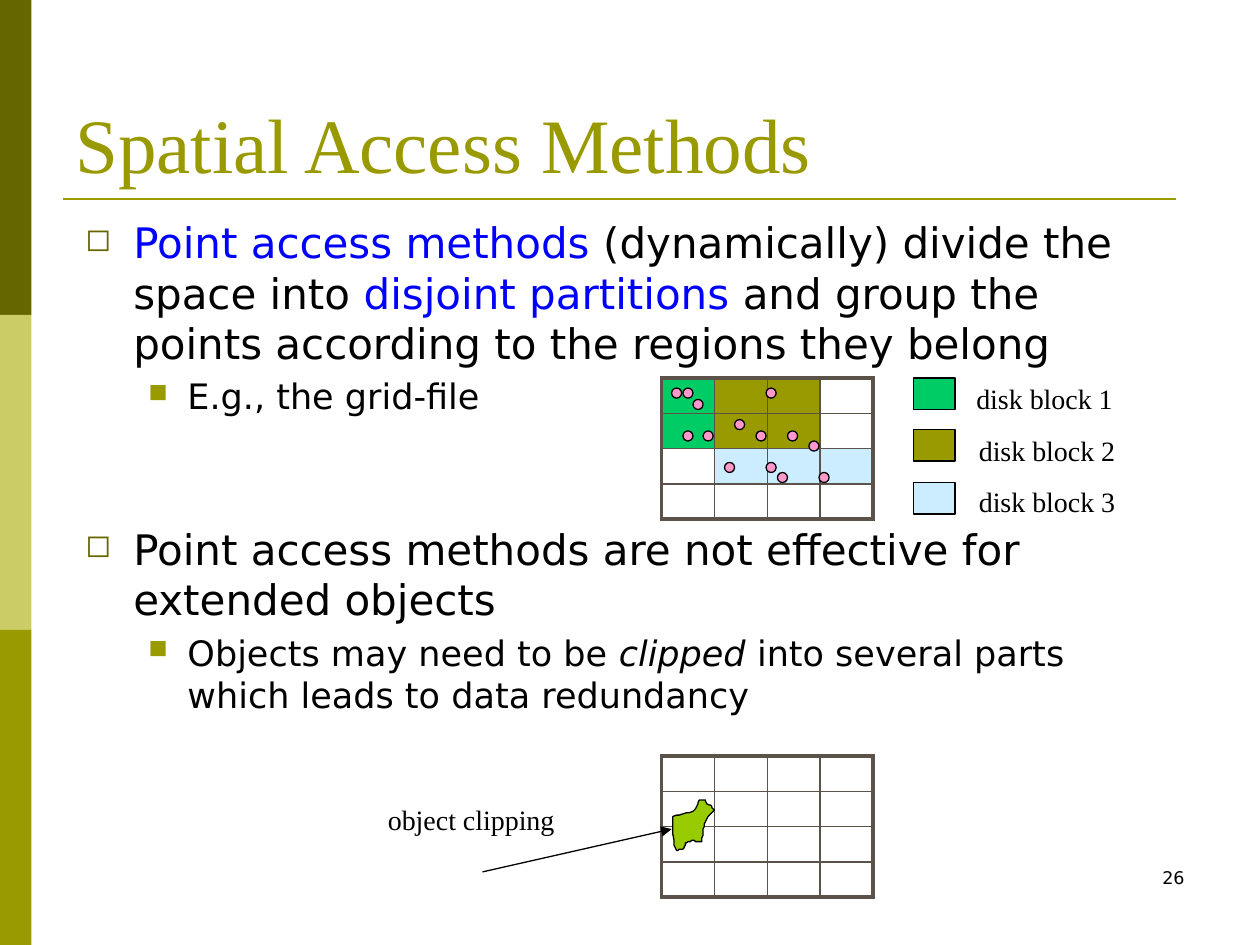
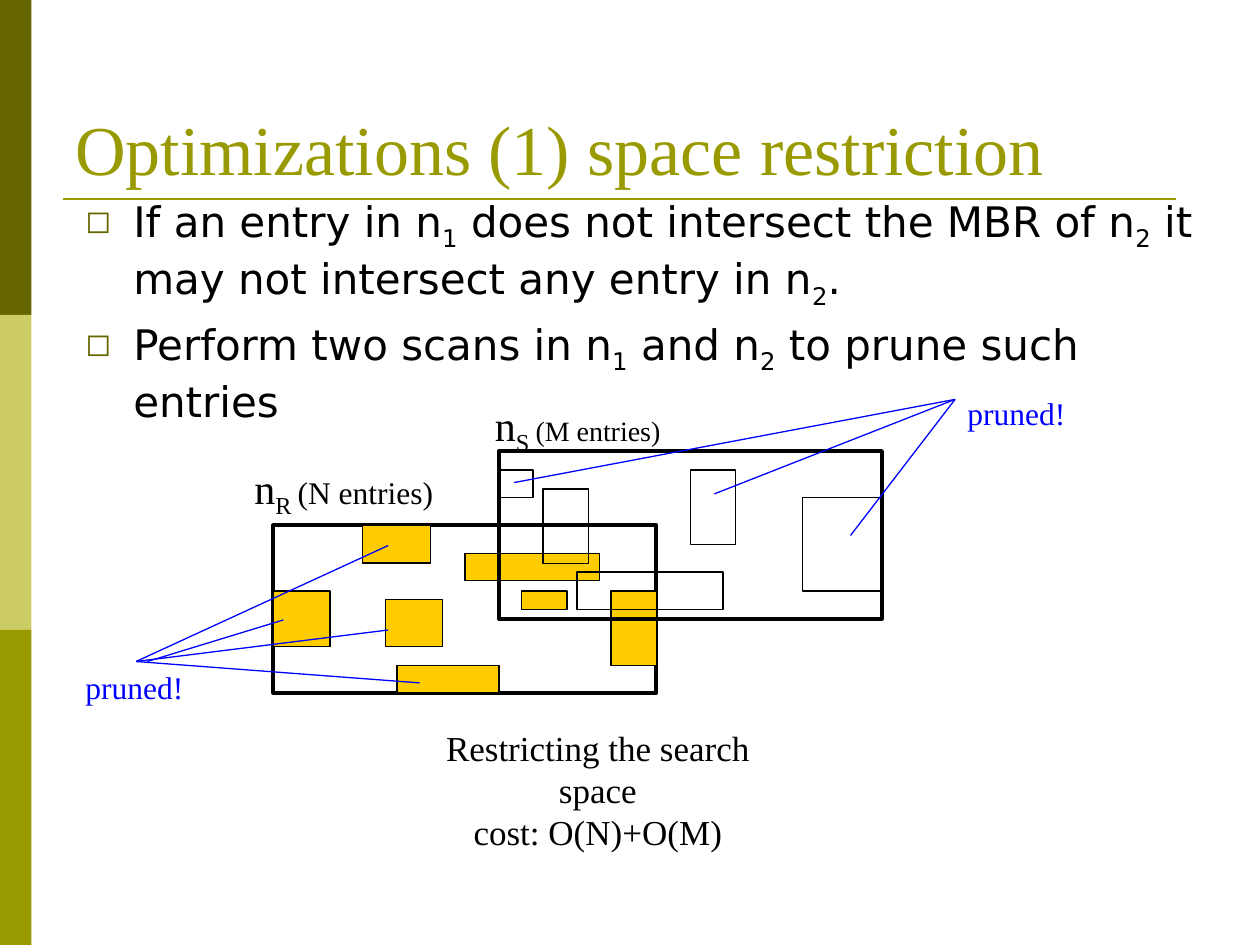
"""Build two slides on spatial access methods and search space restriction."""
from dataclasses import dataclass
from typing import Optional

from lxml.etree import SubElement
from pptx import Presentation
from pptx.dml.color import RGBColor
from pptx.enum.shapes import MSO_CONNECTOR, MSO_SHAPE
from pptx.enum.text import MSO_ANCHOR, PP_ALIGN
from pptx.oxml.ns import qn
from pptx.util import Emu, Pt

PX = 9144
SERIF, SANS = "Times New Roman", "DejaVu Sans"
BLACK = RGBColor(0x00, 0x00, 0x00)
BLUE = RGBColor(0x00, 0x00, 0xFF)
DARK_OLIVE = RGBColor(0x66, 0x66, 0x00)
PALE_OLIVE = RGBColor(0xCC, 0xCC, 0x66)
OLIVE = RGBColor(0x99, 0x99, 0x00)
GREEN = RGBColor(0x00, 0xCC, 0x66)
SKY = RGBColor(0xCC, 0xEC, 0xFF)
PINK = RGBColor(0xFF, 0x99, 0xCC)
LIME = RGBColor(0x99, 0xCC, 0x00)
GOLD = RGBColor(0xFF, 0xCC, 0x00)
GRID = RGBColor(0x5B, 0x52, 0x49)


@dataclass(frozen=True)
class Box:
    x: int
    y: int
    w: int
    h: int

    def emu(self) -> tuple:
        return tuple(Emu(v * PX) for v in (self.x, self.y, self.w, self.h))


@dataclass(frozen=True)
class Bullet:
    char: str
    color: RGBColor
    left: int
    hang: int


@dataclass(frozen=True)
class Run:
    text: str
    color: Optional[RGBColor] = None
    size: Optional[int] = None
    italic: bool = False
    sub: bool = False


@dataclass(frozen=True)
class Para:
    runs: tuple
    size: Optional[int]
    font: str = SERIF
    color: RGBColor = BLACK
    align: PP_ALIGN = PP_ALIGN.LEFT
    bullet: Optional[Bullet] = None
    before: float = 0


TOP = Bullet("◻", DARK_OLIVE, 38, 38)
SUB = Bullet("■", OLIVE, 81, 31)

BANDS = (DARK_OLIVE, PALE_OLIVE, OLIVE)
BLOCKS = (GREEN, OLIVE, SKY)
BLOCK_CELLS = (
    (GREEN, OLIVE, OLIVE, None),
    (GREEN, OLIVE, OLIVE, None),
    (None, SKY, SKY, SKY),
    (None,) * 4,
)
EMPTY_CELLS = ((None,) * 4,) * 4
POINTS = (
    (550, 317), (608, 367), (608, 308), (533, 308), (542, 342), (542, 308), (575, 367),
    (583, 333), (600, 342), (650, 375), (558, 342), (617, 375), (625, 342), (642, 350),
)
OBJECT_START = (555, 635)
OBJECT_CURVES = (
    (554, 638, 552, 643, 550, 644), (545, 646, 539, 646, 534, 648),
    (535, 655, 533, 669, 537, 675), (539, 674, 541, 675, 543, 673),
    (544, 672, 543, 670, 544, 669), (546, 668, 548, 668, 550, 667),
    (552, 668, 555, 669, 557, 668), (557, 668, 557, 666, 557, 666),
    (558, 665, 558, 656, 559, 654), (560, 650, 564, 646, 567, 643),
    (563, 638, 565, 640, 561, 638), (559, 633, 561, 635, 555, 635),
)
NODE_R, NODE_S = Box(217, 417, 304, 133), Box(396, 358, 304, 133)
R_ENTRIES = (
    Box(288, 417, 54, 30), Box(217, 469, 45, 44), Box(306, 476, 45, 37), Box(315, 528, 81, 22),
    Box(369, 439, 107, 22), Box(414, 469, 36, 15), Box(485, 469, 36, 59),
)
S_ENTRIES = (
    Box(458, 454, 116, 30), Box(431, 388, 36, 59), Box(396, 373, 27, 22),
    Box(548, 373, 36, 59), Box(637, 395, 63, 74),
)
PRUNE_LINES = (
    (117, 525, 225, 492), (108, 525, 308, 433), (108, 525, 308, 500), (108, 525, 333, 542),
    (758, 317, 408, 383), (758, 317, 567, 392), (758, 317, 675, 425),
)


def style(sp, fill: Optional[RGBColor], line: Optional[RGBColor], width: float = 0.75) -> None:
    """Give a shape its fill and outline without a shadow."""
    sp.shadow.inherit = False
    if fill is None:
        sp.fill.background()
    else:
        sp.fill.solid()
        sp.fill.fore_color.rgb = fill
    if line is None:
        sp.line.fill.background()
    else:
        sp.line.color.rgb = line
        sp.line.width = Pt(width)


def add_shape(shapes, box: Box, fill: Optional[RGBColor], line: Optional[RGBColor] = BLACK,
              width: float = 0.75, kind: MSO_SHAPE = MSO_SHAPE.RECTANGLE) -> None:
    """Draw one preset shape."""
    style(shapes.add_shape(kind, *box.emu()), fill, line, width)


def add_line(s, ends: tuple, color: RGBColor, width: float = 0.75, arrow: bool = False) -> None:
    """Draw a straight line, optionally with an arrowhead at its end."""
    c = s.shapes.add_connector(MSO_CONNECTOR.STRAIGHT, *(Emu(v * PX) for v in ends))
    c.line.color.rgb = color
    c.line.width = Pt(width)
    props = c._element.spPr
    if arrow:
        SubElement(props.find(qn("a:ln")), qn("a:tailEnd"), type="triangle")
    SubElement(props, qn("a:effectLst"))


def set_bullet(p, bullet: Bullet) -> None:
    """Set the hanging indent and bullet of a paragraph."""
    props = p._p.get_or_add_pPr()
    props.set("marL", str(bullet.left * PX))
    props.set("indent", str(-bullet.hang * PX))
    SubElement(SubElement(props, qn("a:buClr")), qn("a:srgbClr"), val=str(bullet.color))
    SubElement(props, qn("a:buSzPct"), val="75000")
    SubElement(props, qn("a:buChar"), char=bullet.char)


def add_text(s, box: Box, *paras: Para, wrap: bool = True,
             anchor: MSO_ANCHOR = MSO_ANCHOR.TOP) -> None:
    """Write paragraphs in a text box."""
    tf = s.shapes.add_textbox(*box.emu()).text_frame
    tf.word_wrap = wrap
    tf.vertical_anchor = anchor
    for i, para in enumerate(paras):
        p = tf.add_paragraph() if i else tf.paragraphs[0]
        if para.bullet:
            set_bullet(p, para.bullet)
        p.alignment = para.align
        if para.before:
            p.space_before = Pt(para.before)
        p.font.name = para.font
        p.font.color.rgb = para.color
        if para.size:
            p.font.size = Pt(para.size)
        for run in para.runs:
            r = p.add_run()
            r.text = run.text
            if run.color is not None:
                r.font.color.rgb = run.color
            if run.size:
                r.font.size = Pt(run.size)
            if run.italic:
                r.font.italic = True
            if run.sub:
                r.font._element.set("baseline", "-25000")


def add_label(s, box: Box, text: str, size: int = 16, color: RGBColor = BLACK) -> None:
    """Write a one-line label."""
    add_text(s, box, Para((Run(text),), size, color=color), wrap=False)


def add_grid(s, x: int, y: int, fills: tuple) -> None:
    """Draw a grid table with a heavier outer border."""
    n_rows, n_cols = len(fills), len(fills[0])
    box = Box(x, y, 42 * n_cols, 28 * n_rows)
    table = s.shapes.add_table(n_rows, n_cols, *box.emu()).table
    table.first_row = table.horz_banding = False
    for i, row in enumerate(fills):
        for j, fill in enumerate(row):
            cell = table.cell(i, j)
            cell.margin_left = cell.margin_right = cell.margin_top = cell.margin_bottom = 0
            SubElement(cell.text_frame.paragraphs[0]._p, qn("a:endParaRPr"), sz="800")
            outer = {"L": j == 0, "R": j == n_cols - 1, "T": i == 0, "B": i == n_rows - 1}
            for side, heavy in outer.items():
                ln = SubElement(cell._tc.get_or_add_tcPr(), qn(f"a:ln{side}"),
                                w=str(Pt(2.25 if heavy else 1)))
                SubElement(SubElement(ln, qn("a:solidFill")), qn("a:srgbClr"), val=str(GRID))
            if fill is None:
                cell.fill.background()
            else:
                cell.fill.solid()
                cell.fill.fore_color.rgb = fill


def curve_points(start: tuple, curves: tuple, steps: int = 6) -> list:
    """Return points along a chain of cubic curves."""
    points, (x0, y0) = [], start
    for x1, y1, x2, y2, x3, y3 in curves:
        for k in range(1, steps + 1):
            t = k / steps
            u = 1 - t
            a, b, c, d = u ** 3, 3 * u * u * t, 3 * u * t * t, t ** 3
            points.append((a * x0 + b * x1 + c * x2 + d * x3, a * y0 + b * y1 + c * y2 + d * y3))
        x0, y0 = x3, y3
    return points


def add_slide(prs, title: str, size: int):
    """Add a slide with the side bands, title and rule."""
    s = prs.slides.add_slide(prs.slide_layouts[6])
    for i, color in enumerate(BANDS):
        add_shape(s.shapes, Box(0, 250 * i, 25, 250), color, None)
    add_line(s, (50, 158, 933, 158), OLIVE, 1.5)
    add_text(s, Box(50, 30, 900, 125), Para((Run(title),), size, color=OLIVE),
             anchor=MSO_ANCHOR.BOTTOM)
    return s


def access_methods(prs) -> None:
    """Build the slide on point access methods."""
    s = add_slide(prs, "Spatial Access Methods", 44)
    add_text(
        s, Box(58, 167, 883, 415),
        Para((Run("Point access methods", BLUE), Run(" (dynamically) divide the space into "),
              Run("disjoint partitions", BLUE),
              Run(" and group the points according to the regions they belong")),
             24, SANS, bullet=TOP),
        Para((Run("E.g., the grid-file"),), 20, SANS, bullet=SUB, before=4),
        Para((Run("Point access methods are not effective for extended objects"),),
             24, SANS, bullet=TOP, before=60.8),
        Para((Run("Objects may need to be "), Run("clipped", italic=True),
              Run(" into several parts which leads to data redundancy")),
             20, SANS, bullet=SUB, before=4))
    add_grid(s, 525, 300, BLOCK_CELLS)
    for x, y in POINTS:
        add_shape(s.shapes, Box(x, y, 8, 8), PINK, kind=MSO_SHAPE.OVAL)
    for i, color in enumerate(BLOCKS):
        add_shape(s.shapes, Box(725, 300 + 125 * i // 3, 33, 25), color)
        add_label(s, Box(767 if i else 765, 298 + 41 * i, 129, 37), f"disk block {i + 1}")
    add_grid(s, 525, 600, EMPTY_CELLS)
    outline = s.shapes.build_freeform(*OBJECT_START, scale=float(PX))
    outline.add_line_segments(curve_points(OBJECT_START, OBJECT_CURVES))
    style(outline.convert_to_shape(), LIME, BLACK)
    add_line(s, (383, 692, 533, 658), BLACK, arrow=True)
    add_label(s, Box(298, 632, 153, 37), "object clipping")
    add_text(s, Box(717, 683, 233, 50), Para((Run("26"),), 10, SANS, align=PP_ALIGN.RIGHT))


def space_restriction(prs) -> None:
    """Build the slide on pruning entries outside the common area."""
    s = add_slide(prs, "Optimizations (1) space restriction", 40)
    one, two = Run("1", sub=True), Run("2", sub=True)
    add_text(
        s, Box(58, 150, 908, 583),
        Para((Run("If an entry in n"), one, Run(" does not intersect the MBR of n"), two,
              Run(" it may not intersect any entry in n"), two, Run(".")), 24, SANS, bullet=TOP),
        Para((Run("Perform two scans in n"), one, Run(" and n"), two,
              Run(" to prune such entries")), 24, SANS, bullet=TOP, before=4.8))
    nodes = s.shapes.add_group_shape().shapes
    add_shape(nodes, NODE_R, None, width=2.25)
    for box in R_ENTRIES:
        add_shape(nodes, box, GOLD)
    for box in S_ENTRIES:
        add_shape(nodes, box, None)
    add_shape(nodes, NODE_S, None, width=2.25)
    add_text(s, Box(325, 572, 299, 77), *(
        Para((Run(text),), 20, align=PP_ALIGN.CENTER)
        for text in ("Restricting the search space", "cost: O(N)+O(M)")))
    for box, name, count, size in ((Box(192, 362, 165, 50), "R ", "(N entries)", 18),
                                   (Box(383, 312, 155, 50), "S ", "(M entries)", 16)):
        add_text(s, box, Para((Run("n", size=24), Run(name, size=24, sub=True),
                               Run(count, size=size)), None), wrap=False)
    for ends in PRUNE_LINES:
        add_line(s, ends, BLUE)
    for x, y in ((58, 525), (758, 308)):
        add_label(s, Box(x, y, 98, 40), "pruned!", 18, BLUE)


def main() -> None:
    """Create and save the presentation."""
    prs = Presentation()
    prs.slide_width, prs.slide_height = Emu(1000 * PX), Emu(750 * PX)
    access_methods(prs)
    space_restriction(prs)
    prs.save("out.pptx")


if __name__ == "__main__":
    main()
